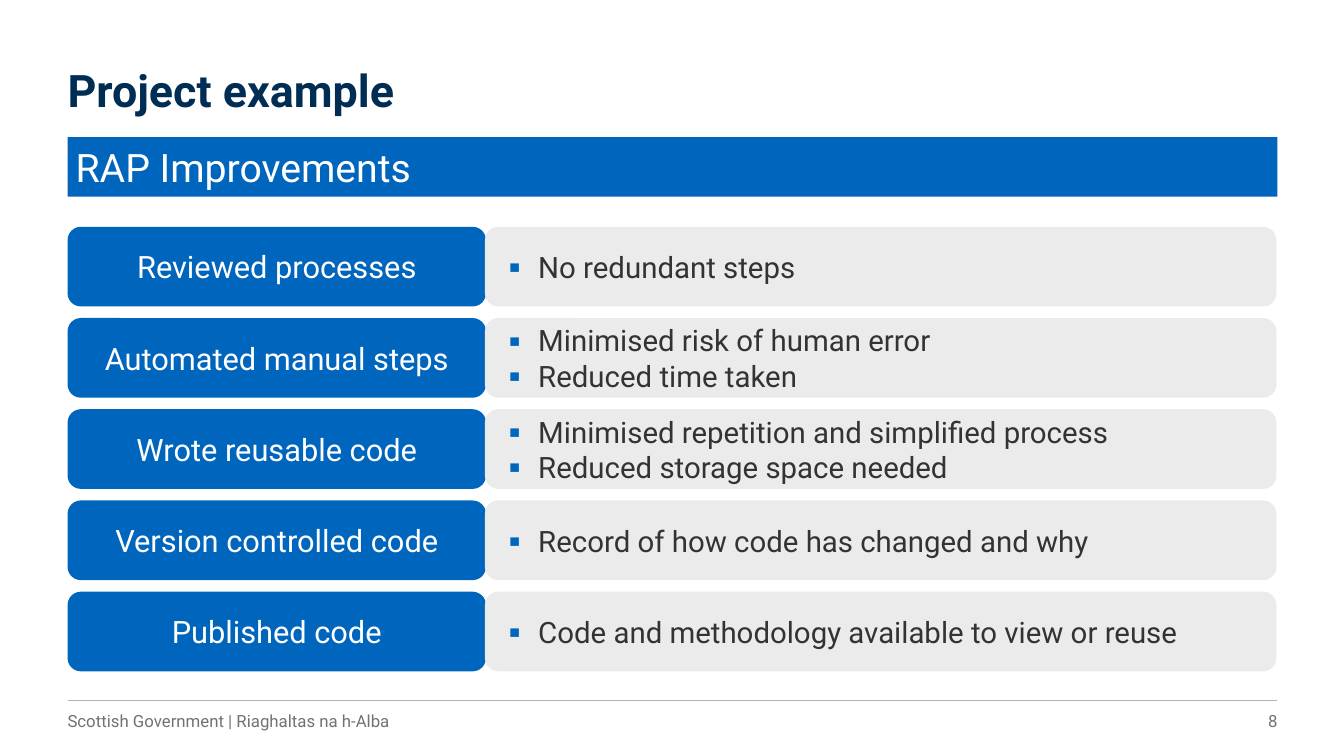
from dataclasses import dataclass

from lxml import etree
from pptx import Presentation
from pptx.dml.color import RGBColor
from pptx.enum.shapes import MSO_CONNECTOR, MSO_SHAPE as Shape
from pptx.enum.text import MSO_ANCHOR as Anchor, PP_ALIGN as Align
from pptx.oxml.ns import qn
from pptx.shapes.base import BaseShape
from pptx.slide import Slide
from pptx.util import Inches, Pt

NAVY = RGBColor(0x00, 0x2D, 0x54)
BLUE = RGBColor(0x00, 0x65, 0xBD)
PALE = RGBColor(0xEB, 0xEB, 0xEB)
DARK = RGBColor(0x33, 0x33, 0x33)
GREY = RGBColor(0x72, 0x72, 0x72)
RULE = RGBColor(0xB3, 0xB3, 0xB3)
WHITE = RGBColor(0xFF, 0xFF, 0xFF)
FONT = "Roboto"

LEFT, WIDTH = 0.67, 12
FOOTER_TOP = 6.95
ROW_TOP, LAST_ROW_TOP, ROW_HEIGHT = 2.25, 5.87, 0.79
LABEL_WIDTH, DETAIL_LEFT, DETAIL_WIDTH = 4.15, 4.81, 7.85


@dataclass
class Box:
    left: float
    top: float
    width: float
    height: float


@dataclass
class Style:
    size: float
    color: RGBColor
    bold: bool = False
    align: Align = Align.LEFT
    anchor: Anchor = Anchor.MIDDLE
    insets: tuple[float, float, float, float] = (0, 0, 0, 0)
    wrap: bool = True
    bullet: bool = False
    line_spacing: float = 1.0


@dataclass
class Improvement:
    label: str
    benefits: list[str]


TITLE = Style(32, NAVY, bold=True, anchor=Anchor.TOP, line_spacing=0.9)
BANNER = Style(28, WHITE, insets=(0.08, 0, 0, 0), wrap=False)
LABEL = Style(22, WHITE, align=Align.CENTER)
DETAIL = Style(21, DARK, insets=(0.2, 0, 0, 0), bullet=True)
FOOTER = Style(12, GREY, insets=(0, 0.05, 0.1, 0.05))
NUMBER = Style(12, GREY, align=Align.RIGHT, insets=(0.1, 0.05, 0, 0.05))

IMPROVEMENTS = [
    Improvement("Reviewed processes", ["No redundant steps"]),
    Improvement("Automated manual steps",
                ["Minimised risk of human error", "Reduced time taken"]),
    Improvement("Wrote reusable code",
                ["Minimised repetition and simplified process",
                 "Reduced storage space needed"]),
    Improvement("Version controlled code",
                ["Record of how code has changed and why"]),
    Improvement("Published code",
                ["Code and methodology available to view or reuse"]),
]


def add_bullet(p) -> None:
    pPr = p._p.get_or_add_pPr()
    pPr.set("marL", str(Inches(0.29)))
    pPr.set("indent", str(-Inches(0.29)))
    color = etree.SubElement(pPr, qn("a:buClr"))
    etree.SubElement(color, qn("a:srgbClr"), val=str(BLUE))
    etree.SubElement(pPr, qn("a:buFont"), typeface=FONT)
    etree.SubElement(pPr, qn("a:buChar"), char="▪")


def write(sp: BaseShape, lines: list[str], style: Style) -> None:
    tf = sp.text_frame
    tf.word_wrap = style.wrap
    tf.vertical_anchor = style.anchor
    tf.margin_left, tf.margin_top, tf.margin_right, tf.margin_bottom = map(
        Inches, style.insets)
    for i, line in enumerate(lines):
        p = tf.add_paragraph() if i else tf.paragraphs[0]
        p.alignment = style.align
        p.line_spacing = style.line_spacing
        if style.bullet:
            add_bullet(p)
        r = p.add_run()
        r.text = line
        r.font.name = FONT
        r.font.size = Pt(style.size)
        r.font.bold = style.bold
        r.font.color.rgb = style.color


def add_text(slide: Slide, box: Box, text: str, style: Style) -> None:
    sp = slide.shapes.add_textbox(Inches(box.left), Inches(box.top),
                                  Inches(box.width), Inches(box.height))
    write(sp, [text], style)


def add_panel(slide: Slide, kind: Shape, box: Box, fill: RGBColor,
              lines: list[str], style: Style) -> None:
    sp = slide.shapes.add_shape(kind, Inches(box.left), Inches(box.top),
                                Inches(box.width), Inches(box.height))
    sp.shadow.inherit = False
    sp.fill.solid()
    sp.fill.fore_color.rgb = fill
    sp.line.fill.background()
    write(sp, lines, style)


def add_rule(slide: Slide, left: float, top: float, width: float) -> None:
    line = slide.shapes.add_connector(
        MSO_CONNECTOR.STRAIGHT, Inches(left), Inches(top),
        Inches(left + width), Inches(top))
    line.line.color.rgb = RULE
    line.line.width = Pt(0.75)
    etree.SubElement(line._element.spPr, qn("a:effectLst"))


def main() -> None:
    prs = Presentation()
    prs.slide_width, prs.slide_height = Inches(13.33), Inches(7.5)
    slide = prs.slides.add_slide(prs.slide_layouts[6])

    # Heading
    add_rule(slide, LEFT, FOOTER_TOP, WIDTH)
    add_text(slide, Box(LEFT, 0.68, WIDTH, 0.48), "Project example", TITLE)
    add_panel(slide, Shape.RECTANGLE, Box(LEFT, 1.36, WIDTH, 0.59), BLUE,
              ["RAP Improvements"], BANNER)

    # Improvements, each with its benefits
    pitch = (LAST_ROW_TOP - ROW_TOP) / (len(IMPROVEMENTS) - 1)
    for i, item in enumerate(IMPROVEMENTS):
        top = ROW_TOP + i * pitch
        add_panel(slide, Shape.ROUNDED_RECTANGLE,
                  Box(LEFT, top, LABEL_WIDTH, ROW_HEIGHT), BLUE,
                  [item.label], LABEL)
        add_panel(slide, Shape.ROUNDED_RECTANGLE,
                  Box(DETAIL_LEFT, top, DETAIL_WIDTH, ROW_HEIGHT), PALE,
                  item.benefits, DETAIL)

    # Footer
    add_text(slide, Box(LEFT, FOOTER_TOP, 9.93, 0.4),
             "Scottish Government | Riaghaltas na h-Alba", FOOTER)
    add_text(slide, Box(11.04, FOOTER_TOP, 1.63, 0.4), "8", NUMBER)

    prs.save("out.pptx")


if __name__ == "__main__":
    main()
